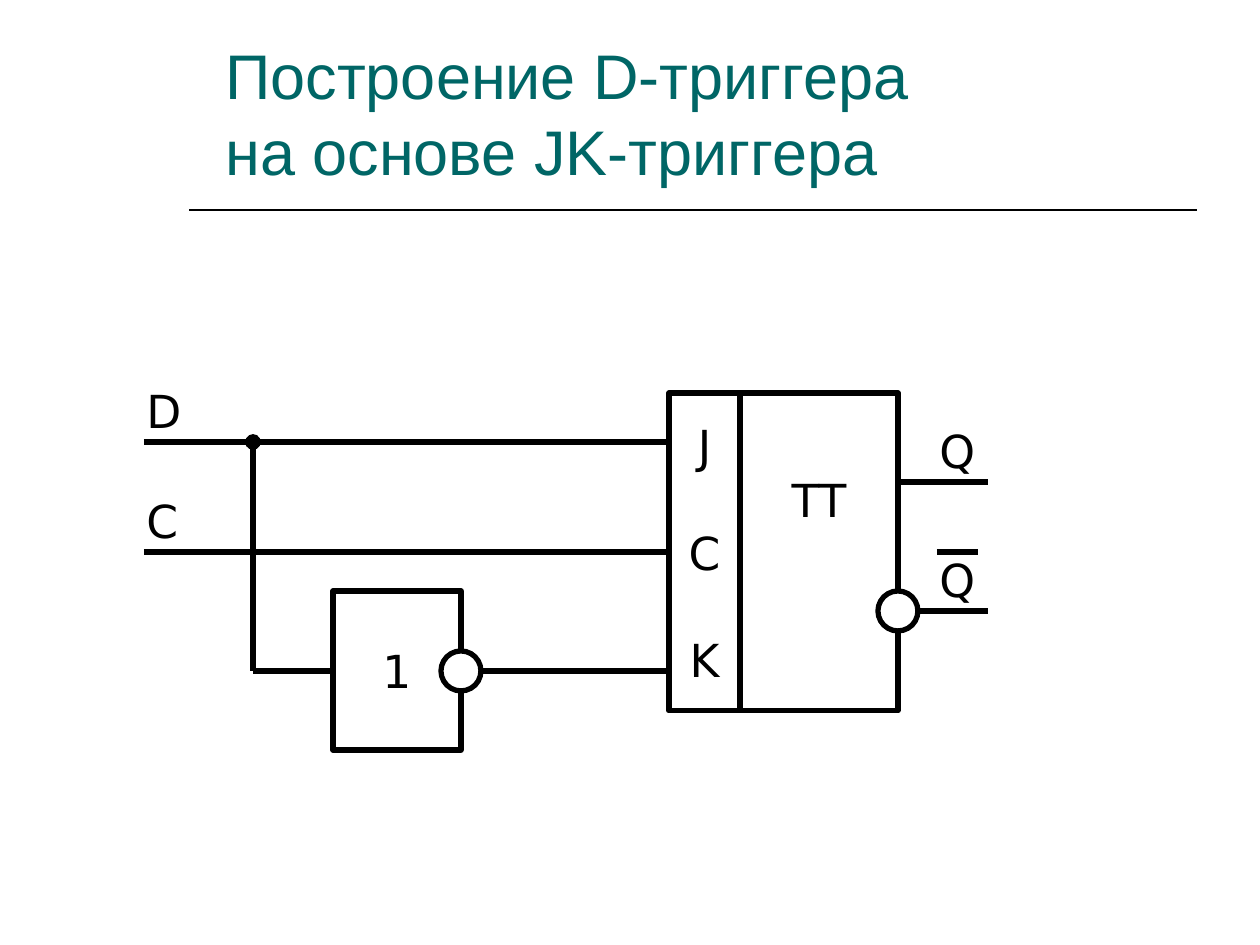
"""Build a slide showing a D flip-flop made from a JK flip-flop."""
from lxml import etree
from pptx import Presentation
from pptx.dml.color import RGBColor
from pptx.enum.shapes import MSO_CONNECTOR, MSO_SHAPE
from pptx.enum.text import MSO_ANCHOR, PP_ALIGN
from pptx.oxml.ns import qn
from pptx.util import Pt

PX = 914400 / 126
BLACK = RGBColor(0, 0, 0)
WHITE = RGBColor(255, 255, 255)
TEAL = RGBColor(0, 0x66, 0x66)
STRAIGHT = MSO_CONNECTOR.STRAIGHT
RECTANGLE, OVAL = MSO_SHAPE.RECTANGLE, MSO_SHAPE.OVAL
MIDDLE, TOP, BOTTOM = MSO_ANCHOR.MIDDLE, MSO_ANCHOR.TOP, MSO_ANCHOR.BOTTOM
CENTER, LEFT = PP_ALIGN.CENTER, PP_ALIGN.LEFT
SYMBOL_FONT, SYMBOL_SIZE, LINE_GAP = "DejaVu Sans", 26, 30

WIRE_D, WIRE_C, WIRE_K = 442, 552, 671
WIRE_Q, WIRE_NOT_Q = 482, 611
INPUT_LEFT, BRANCH_X, OUTPUT_RIGHT = 144, 253, 988
GATE_LEFT, GATE_WIDTH = 333, 128
PINS_LEFT, BODY_LEFT, BODY_RIGHT = 669, 740, 898
FLIPFLOP_TOP, FLIPFLOP_HEIGHT = 393, 318
BUBBLE = 40


def px(length):
    """Turn pixels into EMU."""
    return round(length * PX)


def write(frame, lines, font, size, color, align, anchor, top=6, bottom=6, gap=0):
    """Fill a text frame with paragraphs in one style."""
    frame.vertical_anchor = anchor
    frame.margin_top, frame.margin_bottom = px(top), px(bottom)
    frame.text = "\n".join(lines)
    for index, paragraph in enumerate(frame.paragraphs):
        paragraph.alignment = align
        if index:
            paragraph.space_before = Pt(gap)
        paragraph.font.name = font
        paragraph.font.size = Pt(size)
        paragraph.font.color.rgb = color


def add_wire(slide, x1, y1, x2, y2, weight=3, dot=False):
    """Draw a black line, with a junction dot at its end if asked."""
    wire = slide.shapes.add_connector(STRAIGHT, px(x1), px(y1), px(x2), px(y2))
    wire.line.color.rgb = BLACK
    wire.line.width = Pt(weight)
    if dot:
        etree.SubElement(wire.line._get_or_add_ln(), qn("a:tailEnd"), type="oval")
    etree.SubElement(wire._element.spPr, qn("a:effectLst"))


def add_outline(slide, kind, left, top, width, height):
    """Draw a white shape with a black outline."""
    outline = slide.shapes.add_shape(kind, px(left), px(top), px(width), px(height))
    outline.shadow.inherit = False
    outline.fill.solid()
    outline.fill.fore_color.rgb = WHITE
    outline.line.color.rgb = BLACK
    outline.line.width = Pt(3)
    return outline


def add_block(slide, left, top, width, height, lines, bottom=6):
    """Draw a logic block with centred symbols."""
    block = add_outline(slide, RECTANGLE, left, top, width, height)
    block.text_frame.word_wrap = False
    write(block.text_frame, lines, SYMBOL_FONT, SYMBOL_SIZE, BLACK, CENTER,
          MIDDLE, bottom=bottom, gap=LINE_GAP)


def add_bubble(slide, x, y):
    """Draw an inversion bubble centred on a point."""
    add_outline(slide, OVAL, x - BUBBLE / 2, y - BUBBLE / 2, BUBBLE, BUBBLE)


def add_label(slide, symbol, left, wire_y):
    """Put a signal name just above its wire."""
    label = slide.shapes.add_textbox(px(left), px(wire_y - 69), px(90), px(68))
    label.text_frame.word_wrap = True
    write(label.text_frame, [symbol], SYMBOL_FONT, SYMBOL_SIZE, BLACK, LEFT,
          TOP, top=10)


def add_title(slide):
    """Add the heading and the rule under it."""
    add_wire(slide, 189, 210, 1197, 210, weight=1)
    title = slide.shapes.add_textbox(px(213), px(10), px(988), px(184))
    title.text_frame.word_wrap = True
    write(title.text_frame, ["Построение D-триггера \vна основе JK-триггера"],
          "Arial", 36, TEAL, LEFT, BOTTOM)


def add_flipflop(slide):
    """Add the JK flip-flop with its two outputs."""
    add_block(slide, PINS_LEFT, FLIPFLOP_TOP, BODY_LEFT - PINS_LEFT,
              FLIPFLOP_HEIGHT, ["J", "С", "K"])
    add_block(slide, BODY_LEFT, FLIPFLOP_TOP, BODY_RIGHT - BODY_LEFT,
              FLIPFLOP_HEIGHT, ["TT"], bottom=112)
    for wire_y in (WIRE_Q, WIRE_NOT_Q):
        add_wire(slide, BODY_RIGHT, wire_y, OUTPUT_RIGHT, wire_y)
        add_label(slide, "Q", 927, wire_y)
    add_bubble(slide, BODY_RIGHT, WIRE_NOT_Q)
    add_wire(slide, 937, 552, 978, 552)


def add_inputs(slide):
    """Add the D and C inputs and the inverter feeding K."""
    for symbol, wire_y in (("D", WIRE_D), ("С", WIRE_C)):
        add_wire(slide, INPUT_LEFT, wire_y, PINS_LEFT, wire_y)
        add_label(slide, symbol, 134, wire_y)
    gate_right = GATE_LEFT + GATE_WIDTH
    add_block(slide, GATE_LEFT, 591, GATE_WIDTH, 159, ["1"])
    add_bubble(slide, gate_right, WIRE_K)
    middle = 581
    add_wire(slide, gate_right + BUBBLE / 2, WIRE_K, middle, WIRE_K)
    add_wire(slide, middle, WIRE_K, PINS_LEFT, WIRE_K)
    add_wire(slide, BRANCH_X, WIRE_K, BRANCH_X, WIRE_D, dot=True)
    add_wire(slide, BRANCH_X, WIRE_K, GATE_LEFT, WIRE_K)


def main():
    """Build and save the slide."""
    deck = Presentation()
    deck.slide_width, deck.slide_height = px(1260), px(945)
    slide = deck.slides.add_slide(deck.slide_layouts[6])
    add_title(slide)
    add_flipflop(slide)
    add_inputs(slide)
    deck.save("out.pptx")


if __name__ == "__main__":
    main()
